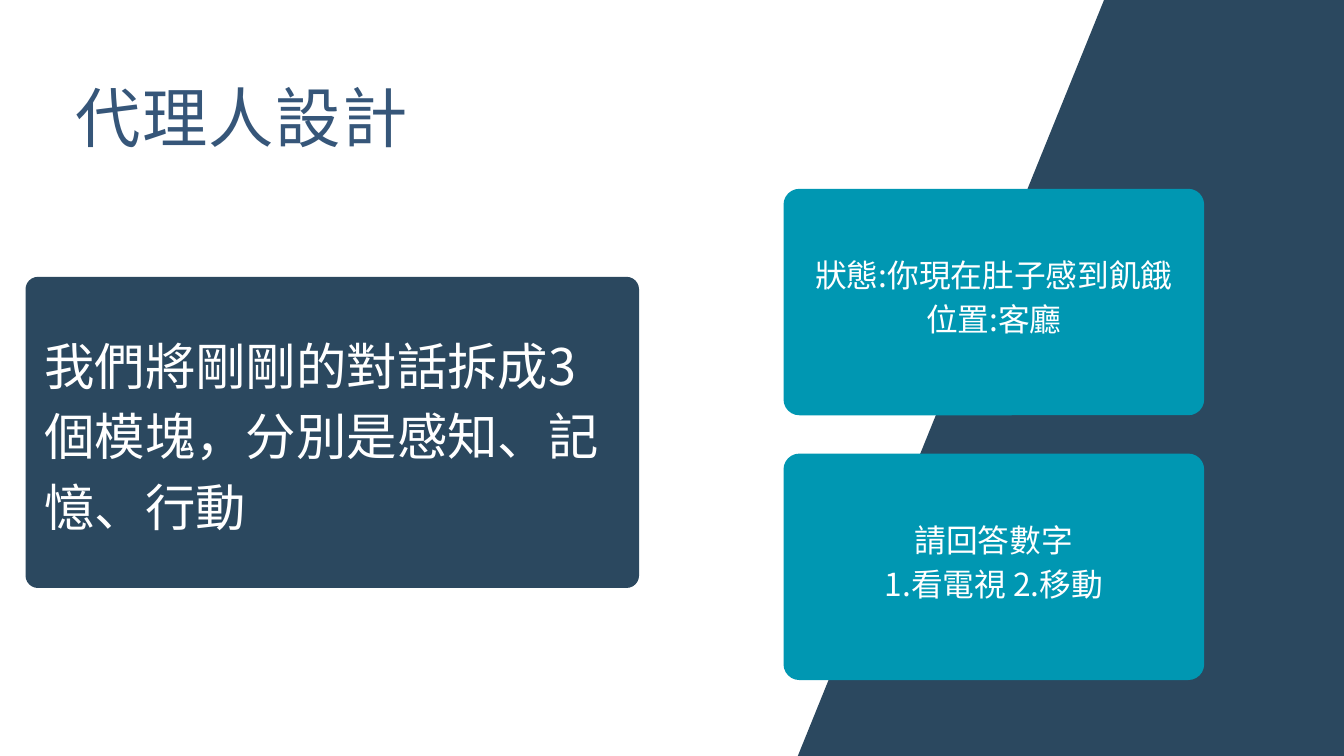
from lxml import etree
from pptx import Presentation
from pptx import util as u
from pptx.dml.color import RGBColor
from pptx.enum import shapes, text
from pptx.oxml.ns import qn

FONT = "Noto Sans CJK JP"
NAVY, TEAL, BLUE, WHITE = "2B485F", "0097B2", "365679", "FFFFFF"

TITLE = "代理人設計"
SUMMARY = "我們將剛剛的對話拆成3個模塊，分別是感知、記憶、行動"
CARDS = [
    ["狀態:你現在肚子感到飢餓", "位置:客廳"],
    ["請回答數字", "1.看電視 2.移動"],
]
CARD_LEFT, CARD_TOP, CARD_WIDTH, CARD_HEIGHT = 11.66, 2.81, 6.26, 3.37
CARD_STEP, TEXT_RISE = 3.94, 0.25


def color(value):
    return RGBColor.from_string(value)


def add_block(page, kind, place, fill, adjustment):
    block = page.shapes.add_shape(kind, *map(u.Inches, place))
    block.adjustments[0] = adjustment
    block.shadow.inherit = False
    block.fill.solid()
    block.fill.fore_color.rgb = color(fill)
    block.line.fill.background()


def add_text(page, lines, place, *, size, leading, ink=WHITE, inset=0,
             align=text.PP_ALIGN.LEFT, anchor=text.MSO_ANCHOR.TOP, tracking=0):
    box = page.shapes.add_textbox(*map(u.Inches, place))
    frame = box.text_frame
    frame.word_wrap = True
    frame.vertical_anchor = anchor
    frame.margin_left = frame.margin_right = u.Inches(inset)
    frame.margin_top = frame.margin_bottom = u.Inches(inset)
    for index, line in enumerate(lines):
        para = frame.add_paragraph() if index else frame.paragraphs[0]
        para.alignment = align
        para.line_spacing = u.Pt(leading)
        span = para.add_run()
        span.text = line
        span.font.size = u.Pt(size)
        span.font.color.rgb = color(ink)
        span.font.name = FONT
        properties = span.font._element
        etree.SubElement(properties, qn("a:ea")).set("typeface", FONT)
        if tracking:
            properties.set("spc", str(round(tracking * 100)))


def main():
    deck = Presentation()
    deck.slide_width, deck.slide_height = u.Inches(20), u.Inches(11.25)
    page = deck.slides.add_slide(deck.slide_layouts[6])
    preset = shapes.MSO_SHAPE

    add_block(page, preset.ROUNDED_RECTANGLE, (0.38, 4.12, 9.13, 4.63), NAVY, 0.04)
    add_text(page, [TITLE], (1.12, 1.05, 6.67, 1.24),
             size=70, leading=91, ink=BLUE, tracking=1.7)
    add_text(page, [SUMMARY], (0.66, 4.83, 8.57, 3.1), size=54, leading=75.6)
    add_block(page, preset.PARALLELOGRAM, (11.03, 0, 13.77, 13.33), NAVY, 5.4 / 13.33)

    for index, lines in enumerate(CARDS):
        top = CARD_TOP + index * CARD_STEP
        add_block(page, preset.ROUNDED_RECTANGLE,
                  (CARD_LEFT, top, CARD_WIDTH, CARD_HEIGHT), TEAL, 0.07)
        add_text(page, lines,
                 (CARD_LEFT, top - TEXT_RISE, CARD_WIDTH, CARD_HEIGHT + TEXT_RISE),
                 size=34, leading=47.6, inset=0.06,
                 align=text.PP_ALIGN.CENTER, anchor=text.MSO_ANCHOR.MIDDLE)

    deck.save("out.pptx")


if __name__ == "__main__":
    main()
